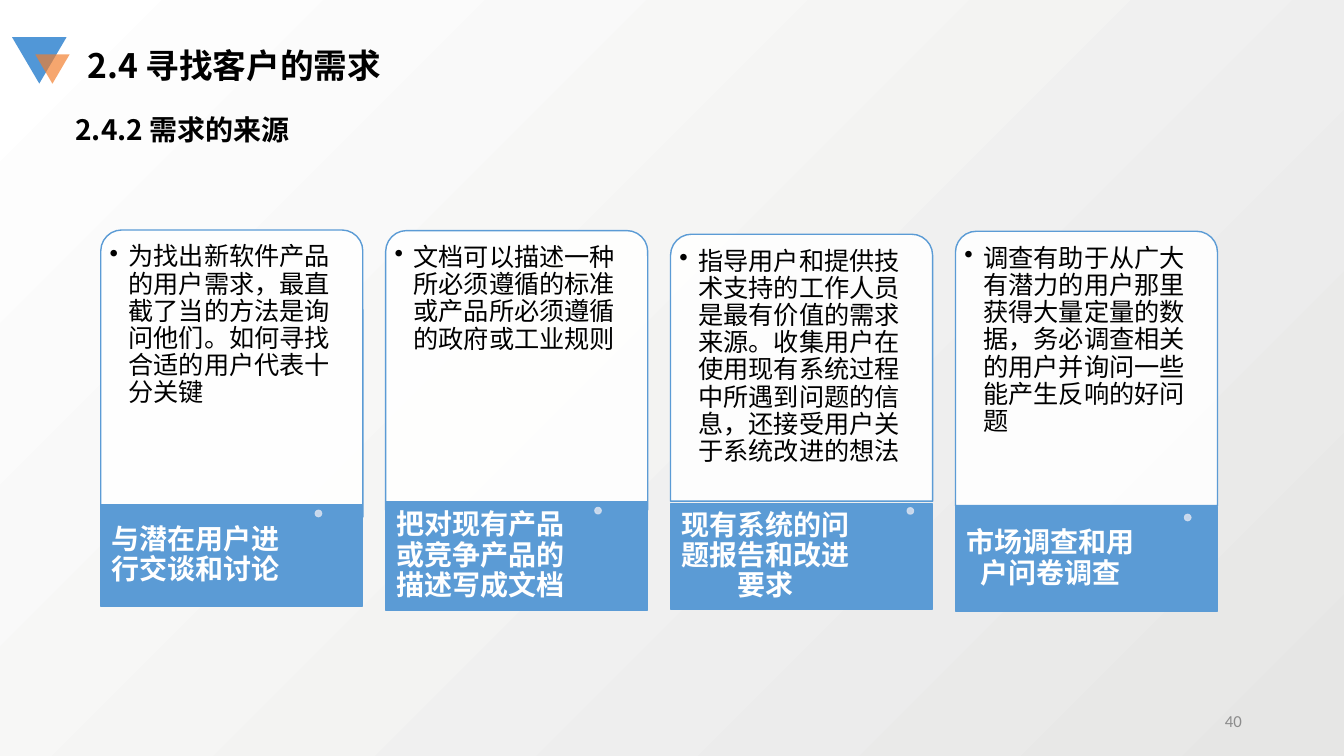
from dataclasses import dataclass

import lxml.etree
import pptx
import pptx.dml.color
import pptx.enum.shapes
import pptx.enum.text
import pptx.oxml.ns
import pptx.util

Pt = pptx.util.Pt
SHAPE = pptx.enum.shapes.MSO_SHAPE
ALIGN = pptx.enum.text.PP_ALIGN
ANCHOR = pptx.enum.text.MSO_ANCHOR


@dataclass(frozen=True)
class Theme:
    heading_font: str = "Noto Sans CJK SC"
    body_font: str = "Calibri"
    black: str = "000000"
    white: str = "FFFFFF"
    blue: str = "5B9BD5"
    emblem_blue: str = "5197D7"
    emblem_orange: str = "F37D2A"
    dot: str = "D2DEEF"
    grey: str = "8C8C8C"
    backdrop: str = "E6E6E5"
    title_size: float = 24
    subtitle_size: float = 20
    label_size: float = 20
    body_size: float = 18
    page_size: float = 12


@dataclass(frozen=True)
class Box:
    left: float
    top: float
    width: float
    height: float

    def lengths(self) -> tuple:
        return Pt(self.left), Pt(self.top), Pt(self.width), Pt(self.height)


@dataclass(frozen=True)
class Source:
    """One source of requirements; the places are in points."""
    label: str
    detail: str
    card_top: float
    card_height: float
    label_top: float
    label_height: float
    dot_offset: float
    dot_top: float


THEME = Theme()
CARD_LEFT, CARD_STEP, CARD_WIDTH = 72, 203.5, 187.2
CORNER, BULLET_INDENT, DOT_SIZE = 0.08, 13.5, 4.5

SOURCES = [
    Source("与潜在用户进行交谈和讨论",
           "为找出新软件产品的用户需求，最直截了当的方法是询问他们。如何寻找合适的用户代表十分关键",
           164.3, 205, 360.3, 72.5, 153.2, 364.5),
    Source("把对现有产品或竞争产品的描述写成文档",
           "文档可以描述一种所必须遵循的标准或产品所必须遵循的政府或工业规则",
           164.7, 199.6, 358.6, 77.2, 149.4, 362.5),
    Source("现有系统的问题报告和改进要求",
           "指导用户和提供技术支持的工作人员是最有价值的需求来源。收集用户在使用现有系统过程中"
           "所遇到问题的信息，还接受用户关于系统改进的想法",
           167.3, 190.7, 360, 75, 169, 362.7),
    Source("市场调查和用户问卷调查",
           "调查有助于从广大有潜力的用户那里获得大量定量的数据，务必调查相关的用户并询问一些能产生反响的好问题",
           165.2, 196, 361.9, 74.6, 163.6, 367.4),
]


def rgb(color: str) -> pptx.dml.color.RGBColor:
    return pptx.dml.color.RGBColor.from_string(color)


def paint(fill, color: str, opacity: int = 100) -> None:
    fill.solid()
    fill.fore_color.rgb = rgb(color)
    if opacity < 100:
        tag = pptx.oxml.ns.qn("a:srgbClr")
        color_element = next(fill._xPr.iter(tag))
        lxml.etree.SubElement(color_element, pptx.oxml.ns.qn("a:alpha"),
                              val=str(opacity * 1000))


def draw_shape(shapes, kind, box: Box, color: str, opacity: int = 100,
               outline: str | None = None, outline_opacity: int = 100):
    shape = shapes.add_shape(kind, *box.lengths())
    shape.shadow.inherit = False
    paint(shape.fill, color, opacity)
    if outline:
        shape.line.width = Pt(1)
        paint(shape.line.fill, outline, outline_opacity)
    else:
        shape.line.fill.background()
    return shape


def write(shape, text: str, font: str, size: float, color: str, bold: bool = False,
          align=ALIGN.LEFT, anchor=ANCHOR.TOP, insets=(7.2, 3.6, 7.2, 3.6),
          line_spacing: float = 1, bullet: bool = False) -> None:
    frame = shape.text_frame
    frame.word_wrap = True
    frame.vertical_anchor = anchor
    (frame.margin_left, frame.margin_top,
     frame.margin_right, frame.margin_bottom) = map(Pt, insets)
    paragraph = frame.paragraphs[0]
    paragraph.text = text
    paragraph.alignment = align
    paragraph.line_spacing = line_spacing
    if bullet:
        properties = paragraph._p.get_or_add_pPr()
        properties.set("marL", str(Pt(BULLET_INDENT)))
        properties.set("indent", str(-Pt(BULLET_INDENT)))
        lxml.etree.SubElement(properties, pptx.oxml.ns.qn("a:buChar"), char="•")
    paragraph.font.name = font
    paragraph.font.size = Pt(size)
    paragraph.font.bold = bold
    paragraph.font.color.rgb = rgb(color)
    # Chinese characters use the heading face throughout
    lxml.etree.SubElement(paragraph.font._element, pptx.oxml.ns.qn("a:ea"),
                          typeface=THEME.heading_font)


def draw_source(shapes, source: Source, left: float) -> None:
    # White card with rounded top corners
    card = draw_shape(shapes, SHAPE.ROUND_2_SAME_RECTANGLE,
                      Box(left, source.card_top, CARD_WIDTH, source.card_height),
                      THEME.white, 90, THEME.blue)
    card.adjustments[0] = CORNER
    write(card, source.detail, THEME.body_font, THEME.body_size, THEME.black,
          insets=(2, 5.7, 2, 2), line_spacing=0.9, bullet=True)
    # Blue label under the card
    label = draw_shape(shapes, SHAPE.RECTANGLE,
                       Box(left, source.label_top, CARD_WIDTH, source.label_height),
                       THEME.blue, outline=THEME.blue)
    write(label, source.label, THEME.body_font, THEME.label_size, THEME.white,
          bold=True, align=ALIGN.CENTER, anchor=ANCHOR.MIDDLE,
          insets=(5.8, 0, 57.6, 0), line_spacing=0.9)
    # Pale dot on the label
    draw_shape(shapes, SHAPE.OVAL,
               Box(left + source.dot_offset, source.dot_top, DOT_SIZE, DOT_SIZE),
               THEME.dot, 90, THEME.dot, 90)


def main() -> None:
    deck = pptx.Presentation()
    deck.slide_width, deck.slide_height = Pt(960), Pt(540)
    slide = deck.slides.add_slide(deck.slide_layouts[6])
    shapes = slide.shapes

    # Diagonal grey backdrop
    backdrop = slide.background.fill
    backdrop.gradient()
    backdrop.gradient_angle = 135
    for stop, color, position in zip(backdrop.gradient_stops,
                                     (THEME.backdrop, THEME.white), (0, 1)):
        stop.color.rgb = rgb(color)
        stop.position = position

    # Emblem of two downward triangles
    emblem = shapes.add_group_shape()
    for box, color, opacity in (
            (Box(8.6, 26.6, 38.9, 33.1), THEME.emblem_blue, 100),
            (Box(25.2, 38.9, 24.5, 20.9), THEME.emblem_orange, 68)):
        triangle = draw_shape(emblem.shapes, SHAPE.ISOSCELES_TRIANGLE, box, color, opacity)
        triangle.rotation = 180

    # Page number and headings
    page = shapes.add_textbox(*Box(678.2, 500.4, 216, 28.8).lengths())
    write(page, "40", THEME.body_font, THEME.page_size, THEME.grey,
          align=ALIGN.RIGHT, anchor=ANCHOR.MIDDLE)
    for text, box, size in (
            ("2.4 寻找客户的需求", Box(55.4, 28.8, 416.2, 36), THEME.title_size),
            ("2.4.2 需求的来源", Box(46.8, 77, 661.7, 31.7), THEME.subtitle_size)):
        heading = shapes.add_textbox(*box.lengths())
        write(heading, text, THEME.heading_font, size, THEME.black, bold=True)

    # Four sources side by side
    for column, source in enumerate(SOURCES):
        draw_source(shapes, source, CARD_LEFT + column * CARD_STEP)

    deck.save("out.pptx")


if __name__ == "__main__":
    main()
